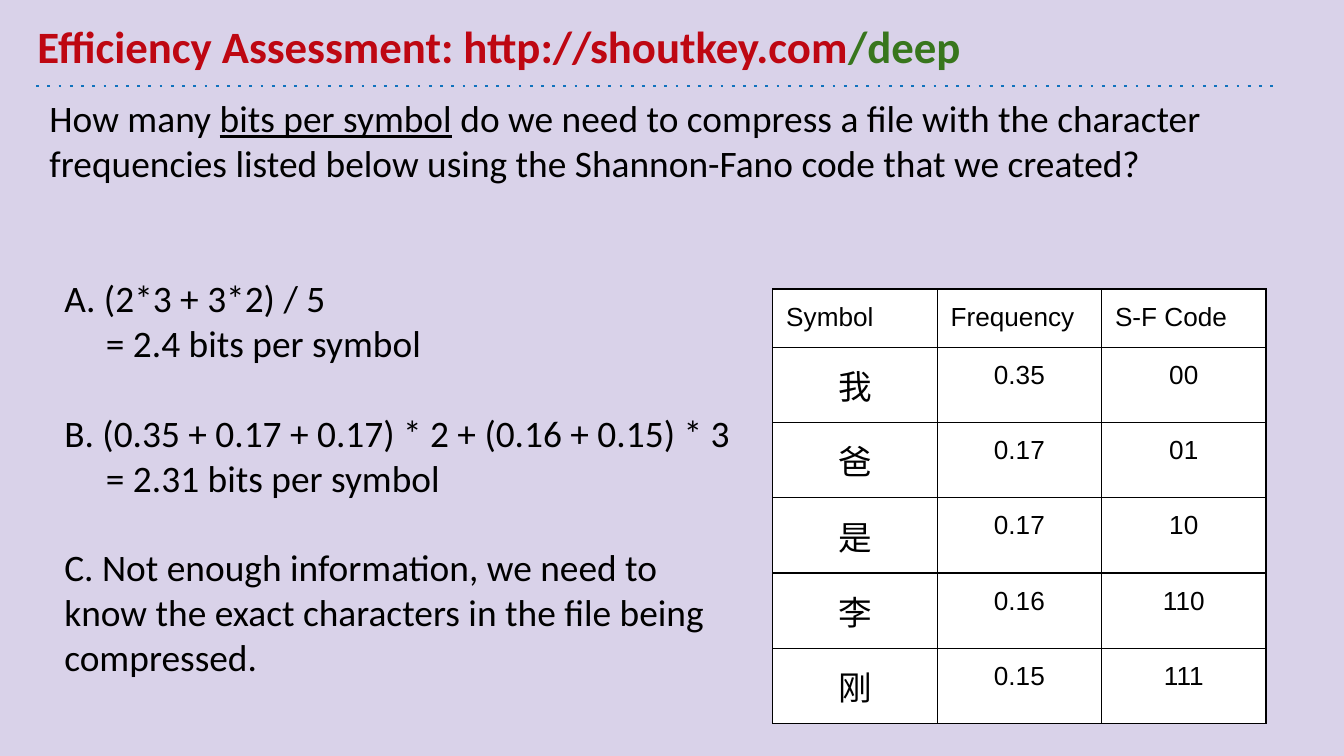
from lxml.etree import SubElement
from pptx import Presentation
from pptx.dml.color import RGBColor
from pptx.enum.shapes import MSO_CONNECTOR
from pptx.enum.text import MSO_ANCHOR, PP_ALIGN
from pptx.oxml.ns import qn
from pptx.util import Inches, Pt

COLORS = {
    "background": "D9D2E9",
    "title": "BE0712",
    "keyword": "38761D",
    "rule": "1072BD",
    "text": "000000",
    "cell": "FFFFFF",
}
INSET = Inches(0.1)
HEADERS = ["Symbol", "Frequency", "S-F Code"]
CODES = [
    ("我", "0.35", "00"),
    ("爸", "0.17", "01"),
    ("是", "0.17", "10"),
    ("李", "0.16", "110"),
    ("刚", "0.15", "111"),
]
# Each answer is its first line and an optional indented result
ANSWERS = [
    ("A. (2*3 + 3*2) / 5", "= 2.4 bits per symbol"),
    ("B. (0.35 + 0.17 + 0.17) * 2 + (0.16 + 0.15) * 3", "= 2.31 bits per symbol"),
    ("C. Not enough information, we need to know the exact characters "
     "in the file being compressed.", None),
]


def color(name):
    return RGBColor.from_string(COLORS[name])


def add_run(paragraph, text, size, font="Calibri", color_name="text",
            bold=False, underline=False):
    run = paragraph.add_run()
    run.text = text
    run.font.name = font
    run.font.size = Pt(size)
    run.font.bold = bold
    run.font.underline = underline
    run.font.color.rgb = color(color_name)


def set_insets(target):
    target.margin_left = target.margin_right = INSET
    target.margin_top = target.margin_bottom = INSET


def add_text_frame(slide, left, top, width, height, anchor=MSO_ANCHOR.TOP):
    box = slide.shapes.add_textbox(Inches(left), Inches(top), Inches(width), Inches(height))
    frame = box.text_frame
    frame.word_wrap = True
    frame.vertical_anchor = anchor
    set_insets(frame)
    return frame


def add_title(slide, left, top, width, height):
    frame = add_text_frame(slide, left, top, width, height, MSO_ANCHOR.BOTTOM)
    paragraph = frame.paragraphs[0]
    add_run(paragraph, "Efficiency Assessment: http://shoutkey.com", 24,
            color_name="title", bold=True)
    add_run(paragraph, "/deep", 24, color_name="keyword", bold=True)


def add_dotted_rule(slide, left, top, width):
    rule = slide.shapes.add_connector(
        MSO_CONNECTOR.STRAIGHT, Inches(left), Inches(top), Inches(left + width), Inches(top))
    rule.line.color.rgb = color("rule")
    rule.line.width = Pt(1.5)
    properties = rule.element.spPr
    SubElement(properties.find(qn("a:ln")), qn("a:prstDash"), val="dot")
    SubElement(properties, qn("a:effectLst"))


def add_question(slide, left, top, width, height):
    paragraph = add_text_frame(slide, left, top, width, height).paragraphs[0]
    add_run(paragraph, "How many ", 20)
    add_run(paragraph, "bits per symbol", 20, underline=True)
    add_run(paragraph, " do we need to compress a file with the character frequencies "
            "listed below using the Shannon-Fano code that we created?", 20)


def add_answers(slide, left, top, width, height):
    frame = add_text_frame(slide, left, top, width, height)
    for index, (answer, result) in enumerate(ANSWERS):
        paragraph = frame.add_paragraph() if index else frame.paragraphs[0]
        if index:
            paragraph.space_before = Pt(24)
        add_run(paragraph, answer, 20)
        if result:
            paragraph = frame.add_paragraph()
            paragraph._p.get_or_add_pPr().set("marL", str(Inches(0.31)))
            add_run(paragraph, result, 20)


def style_cell(cell):
    set_insets(cell)
    properties = cell._tc.get_or_add_tcPr()
    for side in ("a:lnL", "a:lnR", "a:lnT", "a:lnB"):
        border = SubElement(properties, qn(side), w=str(Pt(0.75)))
        fill = SubElement(border, qn("a:solidFill"))
        SubElement(fill, qn("a:srgbClr"), val=COLORS["text"])
    cell.fill.solid()
    cell.fill.fore_color.rgb = color("cell")


def add_code_table(slide, left, top, width, header_height, row_height):
    rows = [HEADERS, *CODES]
    height = header_height + row_height * len(CODES)
    table = slide.shapes.add_table(
        len(rows), len(HEADERS), Inches(left), Inches(top), Inches(width), Inches(height)).table
    table.first_row = table.horz_banding = False
    for column in table.columns:
        column.width = Inches(width / len(HEADERS))
    for row_index, values in enumerate(rows):
        table.rows[row_index].height = Inches(row_height if row_index else header_height)
        for column_index, value in enumerate(values):
            cell = table.cell(row_index, column_index)
            style_cell(cell)
            paragraph = cell.text_frame.paragraphs[0]
            if row_index:
                paragraph.alignment = PP_ALIGN.CENTER
            if row_index and column_index == 0:
                add_run(paragraph, value, 18)
            else:
                add_run(paragraph, value, 14, font="Arial")


def main():
    presentation = Presentation()
    presentation.slide_width = Inches(10)
    presentation.slide_height = Inches(10) * 9 // 16
    slide = presentation.slides.add_slide(presentation.slide_layouts[6])
    slide.background.fill.solid()
    slide.background.fill.fore_color.rgb = color("background")

    # Heading and question
    add_dotted_rule(slide, 0.27, 0.64, 9.23)
    add_title(slide, 0.18, 0.1, 9, 0.54)
    add_question(slide, 0.27, 0.61, 9.23, 1.15)

    # Code table and answers
    add_code_table(slide, 5.75, 2.15, 3.67, 0.41, 0.56)
    add_answers(slide, 0.38, 1.95, 5.28, 3.14)
    presentation.save("out.pptx")


if __name__ == "__main__":
    main()
